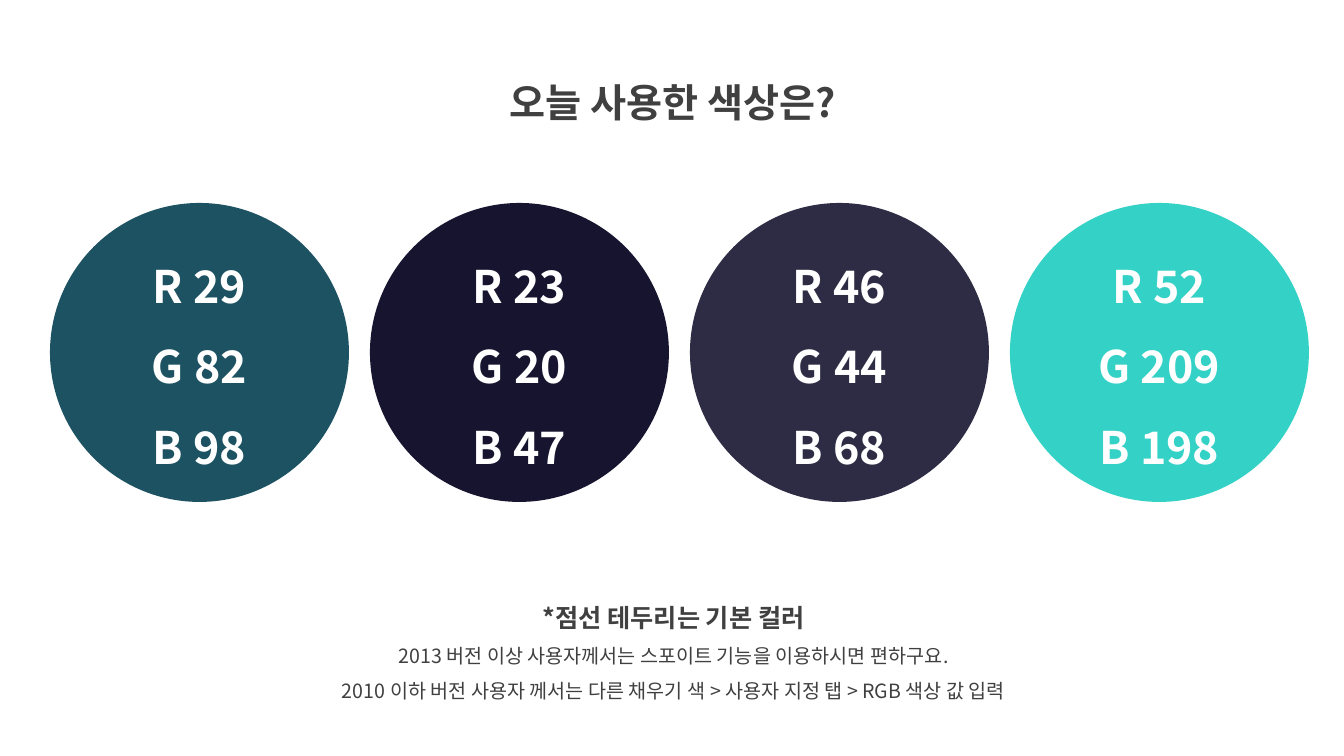
"""Build the colour palette slide with four RGB circles."""
from dataclasses import dataclass

from lxml.etree import SubElement
from pptx import Presentation
from pptx.dml.color import RGBColor
from pptx.enum.shapes import MSO_SHAPE
from pptx.enum.text import MSO_ANCHOR, MSO_AUTO_SIZE, PP_ALIGN
from pptx.oxml.ns import qn
from pptx.slide import Slide
from pptx.text.text import TextFrame
from pptx.util import Emu, Pt

SLIDE_WIDTH, SLIDE_HEIGHT = 1344, 756
EMU_PER_PX = 12192000 / SLIDE_WIDTH
FONT = "Noto Sans CJK KR"
DARK_GREY, WHITE = "404040", "FFFFFF"
PALETTE = ["1D5262", "17142F", "2E2C44", "34D1C6"]
CIRCLE_LEFT, CIRCLE_TOP, CIRCLE_SIZE, CIRCLE_PITCH = 50, 203, 299, 320


@dataclass
class Line:
    text: str
    size: int
    bold: bool = True


TITLE = Line("오늘 사용한 색상은?", 28)
NOTES = [
    Line("*점선 테두리는 기본 컬러", 18),
    Line("2013 버전 이상 사용자께서는 스포이트 기능을 이용하시면 편하구요.", 14, False),
    Line("2010 이하 버전 사용자 께서는 다른 채우기 색 > 사용자 지정 탭 > RGB 색상 값 입력", 14, False),
]


def px(length: int) -> Emu:
    return Emu(round(length * EMU_PER_PX))


def color(value: str) -> RGBColor:
    return RGBColor.from_string(value)


def write_lines(text_frame: TextFrame, lines: list[Line], text_color: str) -> None:
    text_frame.text = "\n".join(line.text for line in lines)
    text_frame.word_wrap = True
    for paragraph, line in zip(text_frame.paragraphs, lines):
        paragraph.alignment = PP_ALIGN.CENTER
        paragraph.line_spacing = 1.5
        for run in paragraph.runs:
            run.font.size = Pt(line.size)
            run.font.bold = line.bold
            run.font.color.rgb = color(text_color)
            run.font.name = FONT
            SubElement(run.font._element, qn("a:ea"), typeface=FONT)


def add_title(slide: Slide) -> None:
    title = slide.shapes.title
    title.left, title.top, title.width, title.height = map(px, (439, 50, 467, 73))
    write_lines(title.text_frame, [TITLE], DARK_GREY)
    title.text_frame.vertical_anchor = MSO_ANCHOR.TOP
    title.text_frame.auto_size = MSO_AUTO_SIZE.SHAPE_TO_FIT_TEXT


def add_notes(slide: Slide) -> None:
    notes = slide.shapes.add_textbox(*map(px, (271, 582, 805, 127)))
    write_lines(notes.text_frame, NOTES, DARK_GREY)
    notes.text_frame.auto_size = MSO_AUTO_SIZE.SHAPE_TO_FIT_TEXT


def add_color_circle(slide: Slide, left: int, fill: str) -> None:
    circle = slide.shapes.add_shape(
        MSO_SHAPE.OVAL, px(left), px(CIRCLE_TOP), px(CIRCLE_SIZE), px(CIRCLE_SIZE)
    )
    circle.shadow.inherit = False
    circle.fill.solid()
    circle.fill.fore_color.rgb = color(fill)
    circle.line.fill.background()
    channels = [Line(f"{name} {level}", 32) for name, level in zip("RGB", color(fill))]
    write_lines(circle.text_frame, channels, WHITE)
    circle.text_frame.vertical_anchor = MSO_ANCHOR.MIDDLE


def main() -> None:
    presentation = Presentation()
    presentation.slide_width = px(SLIDE_WIDTH)
    presentation.slide_height = px(SLIDE_HEIGHT)
    slide = presentation.slides.add_slide(presentation.slide_layouts.get_by_name("Title Only"))
    add_title(slide)
    add_notes(slide)
    for index, fill in enumerate(PALETTE):
        add_color_circle(slide, CIRCLE_LEFT + index * CIRCLE_PITCH, fill)
    presentation.save("out.pptx")


if __name__ == "__main__":
    main()
